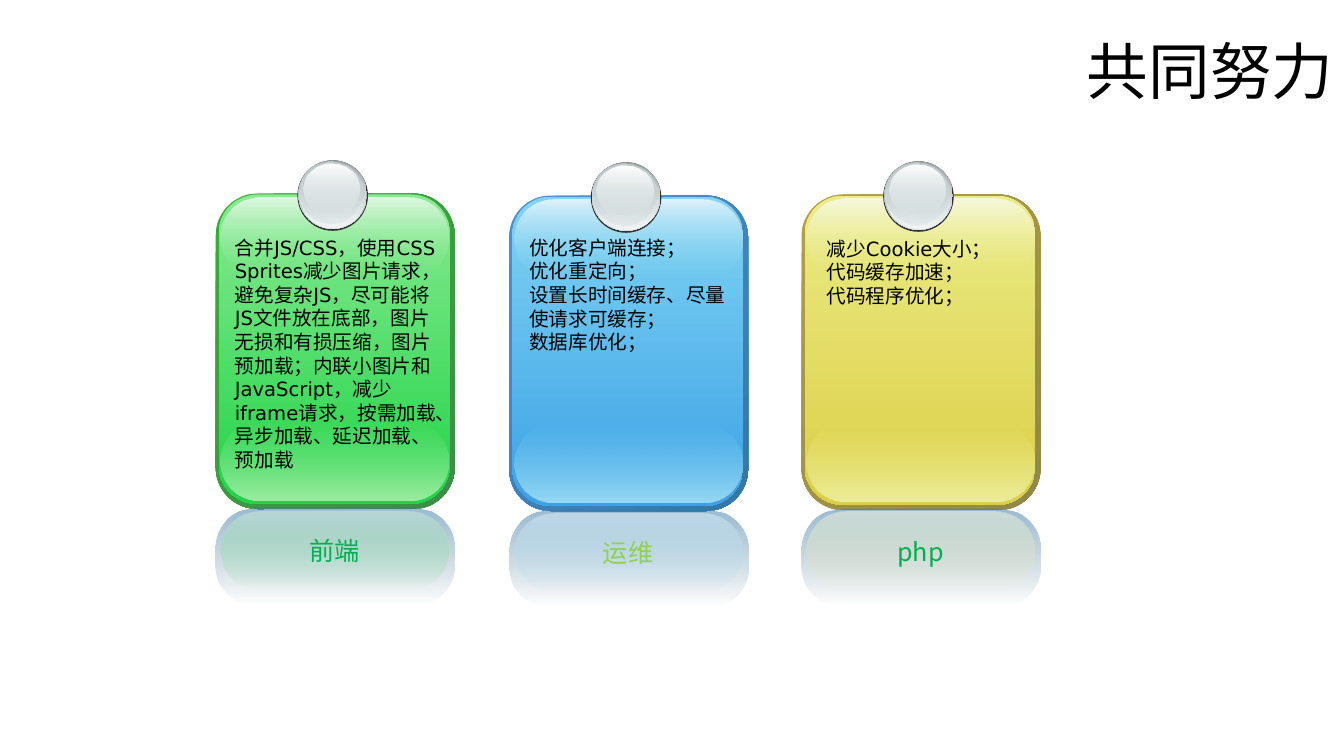
from lxml import etree
from pptx import Presentation
from pptx import util as u
from pptx.dml.color import RGBColor
from pptx.enum import shapes, text
from pptx.oxml import ns

PX = 9144  # EMU per px, 100 px to the inch
CJK_FONT = "Noto Sans CJK SC"
BODY_FONT = "DejaVu Sans"

BLACK = RGBColor(0x00, 0x00, 0x00)
WHITE = RGBColor(0xFF, 0xFF, 0xFF)
GREEN_TEXT = RGBColor(0x00, 0xB0, 0x50)
LIME_TEXT = RGBColor(0x92, 0xD0, 0x50)
MIRROR_TOP = RGBColor(0x34, 0x77, 0xA4)
MIRROR_BOTTOM = RGBColor(0x25, 0x55, 0x75)
PIN_EDGE = RGBColor(0x33, 0x33, 0x33)
PIN_DARK = RGBColor(0x99, 0xA1, 0xA2)
PIN_MID = RGBColor(0xC1, 0xCB, 0xCC)
PIN_LIGHT = RGBColor(0xD6, 0xE1, 0xE2)
PIN_PALE = RGBColor(0xF2, 0xF5, 0xF5)

GREEN_EDGE = (RGBColor(0x34, 0xB0, 0x34), RGBColor(0x3F, 0x8B, 0x4A))
GREEN_FACE = (RGBColor(0x88, 0xEA, 0x91), RGBColor(0x21, 0xD3, 0x47))
GREEN_GLOW = RGBColor(0x9D, 0xED, 0xA4)
GREEN_SHINE = RGBColor(0xE0, 0xF8, 0xE2)
GREEN_LABEL = (RGBColor(0xD6, 0xF1, 0xD8), GREEN_FACE[1])
BLUE_EDGE = (RGBColor(0x4E, 0x91, 0xD4), MIRROR_TOP)
BLUE_FACE = (RGBColor(0x80, 0xD4, 0xF2), RGBColor(0x3C, 0xA1, 0xE6))
BLUE_GLOW = RGBColor(0x97, 0xDA, 0xF4)
BLUE_SHINE = RGBColor(0xDF, 0xF2, 0xFB)
BLUE_LABEL = (BLUE_SHINE, BLUE_FACE[0])
YELLOW_EDGE = (RGBColor(0xB5, 0x9F, 0x43), RGBColor(0x8F, 0x88, 0x49))
YELLOW_FACE = (RGBColor(0xEA, 0xEC, 0x86), RGBColor(0xDC, 0xCE, 0x46))
YELLOW_GLOW = RGBColor(0xED, 0xEE, 0x9C)
YELLOW_SHINE = RGBColor(0xF8, 0xF9, 0xE0)
YELLOW_LABEL = (YELLOW_SHINE, YELLOW_FACE[0])


def add_layer(group, box, colors, opacity=(100, 100), corner=None, angle=270):
    """Add a gradient layer: a rounded rectangle, or an ellipse without corner."""
    kind = shapes.MSO_SHAPE.OVAL if corner is None else shapes.MSO_SHAPE.ROUNDED_RECTANGLE
    shape = group.shapes.add_shape(kind, *(value * PX for value in box))
    if corner is not None:
        shape.adjustments[0] = corner
    shape.shadow.inherit = False
    shape.line.fill.background()
    shape.fill.gradient()
    shape.fill.gradient_angle = angle
    for stop, position, color in zip(shape.fill.gradient_stops, (0, 1), colors):
        stop.position = position
        stop.color.rgb = color
    for color, percent in zip(shape.element.iter(ns.qn("a:srgbClr")), opacity):
        if percent < 100:
            etree.SubElement(color, ns.qn("a:alpha")).set("val", str(percent * 1000))
    return shape


def format_text(text_frame, size, font, color, align):
    for paragraph in text_frame.paragraphs:
        paragraph.alignment = align
        for run in paragraph.runs:
            run.font.size = u.Pt(size)
            run.font.color.rgb = color
            run.font.name = font
            east_asian = etree.SubElement(run.font._element, ns.qn("a:ea"))
            east_asian.set("typeface", font)


presentation = Presentation()
presentation.slide_width = 1333 * PX
presentation.slide_height = 750 * PX
slide = presentation.slides.add_slide(presentation.slide_layouts[5])

# Title
title = slide.shapes.title
title.left, title.top, title.width, title.height = (v * PX for v in (1068, 1, 266, 145))
title.text_frame.text = "共同努力"
title.text_frame.vertical_anchor = text.MSO_ANCHOR.MIDDLE
title.text_frame.paragraphs[0].line_spacing = 0.9
format_text(title.text_frame, 44, CJK_FONT, BLACK, text.PP_ALIGN.LEFT)

# Cards: left, top, edge, face, glow, shine, label colours, label, label colour,
# text box, lines
cards = [
    (214, 192, GREEN_EDGE, GREEN_FACE, GREEN_GLOW, GREEN_SHINE, GREEN_LABEL,
     "前端", GREEN_TEXT, (223, 229, 225, 246),
     ["合并JS/CSS，使用CSS Sprites减少图片请求，避免复杂JS，尽可能将JS文件放在底部，"
      "图片无损和有损压缩，图片预加载；内联小图片和JavaScript，减少iframe请求，"
      "按需加载、异步加载、延迟加载、预加载"]),
    (505, 194, BLUE_EDGE, BLUE_FACE, BLUE_GLOW, BLUE_SHINE, BLUE_LABEL,
     "运维", LIME_TEXT, (515, 229, 225, 128),
     ["优化客户端连接；", "优化重定向；", "设置长时间缓存、尽量使请求可缓存；", "数据库优化；"]),
    (795, 193, YELLOW_EDGE, YELLOW_FACE, YELLOW_GLOW, YELLOW_SHINE, YELLOW_LABEL,
     "php", GREEN_TEXT, (810, 230, 225, 104),
     ["减少Cookie大小；", "代码缓存加速；", "代码程序优化；"]),
]

# Pin layers, offset from the card corner
pin_layers = [
    ((81, -33, 70, 70), (PIN_EDGE, PIN_EDGE), (100, 100)),
    ((82, -33, 68, 68), (PIN_DARK, PIN_LIGHT), (100, 100)),
    ((83, -32, 66, 66), (PIN_LIGHT, PIN_PALE), (0, 100)),
    ((83, -32, 63, 62), (PIN_MID, PIN_LIGHT), (100, 48)),
    ((87, -30, 56, 50), (WHITE, PIN_LIGHT), (100, 38)),
]

for (left, top, edge, face, glow, shine, label_colors,
     label_text, label_color, text_box, lines) in cards:
    group = slide.shapes.add_group_shape()

    # Card body with its highlights
    add_layer(group, (left, top, 237, 313), edge, corner=0.175, angle=315)
    add_layer(group, (left + 3, top + 1, 229, 307), face, corner=0.167)
    add_layer(group, (left + 5, top + 227, 226, 78), (face[0], glow), (0, 100), 0.5)
    add_layer(group, (left + 5, top + 4, 226, 78), (shine, face[0]), (100, 0), 0.5)

    # Reflection and label
    add_layer(group, (left, top + 313, 237, 95), (MIRROR_TOP, MIRROR_BOTTOM), (50, 0), 0.404)
    label = add_layer(group, (left + 5, top + 315, 226, 78), label_colors, (50, 0), 0.5)
    label.text_frame.text = label_text
    label.text_frame.word_wrap = False
    label.text_frame.vertical_anchor = text.MSO_ANCHOR.MIDDLE
    format_text(label.text_frame, 18, CJK_FONT, label_color, text.PP_ALIGN.CENTER)

    # Pin
    for (x, y, width, height), colors, opacity in pin_layers:
        pin = add_layer(group, (left + x, top + y, width, height), colors, opacity)
        if colors[0] == colors[1]:
            pin.fill.solid()
            pin.fill.fore_color.rgb = colors[0]

    # Card text
    card_text = slide.shapes.add_textbox(*(value * PX for value in text_box)).text_frame
    card_text.text = "\n".join(lines)
    card_text.word_wrap = True
    card_text.auto_size = text.MSO_AUTO_SIZE.SHAPE_TO_FIT_TEXT
    format_text(card_text, 14, BODY_FONT, BLACK, text.PP_ALIGN.LEFT)

presentation.save("out.pptx")
